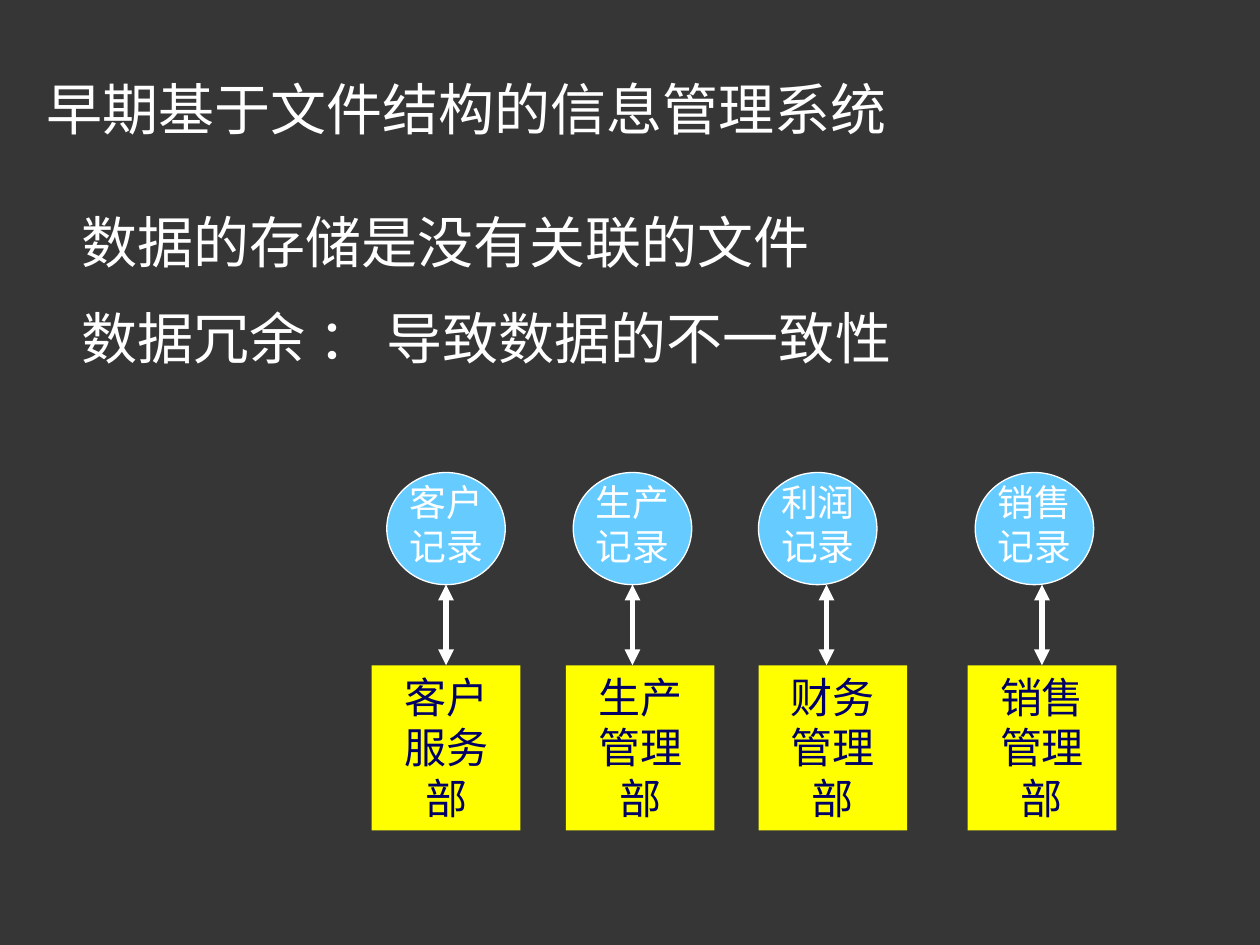
from dataclasses import dataclass

from lxml.etree import SubElement
from pptx import Presentation
from pptx.dml.color import RGBColor as RGB
from pptx.enum.shapes import MSO_CONNECTOR as CONN, MSO_SHAPE as SHAPE
from pptx.enum.text import MSO_ANCHOR as ANCHOR, PP_ALIGN as ALIGN
from pptx.oxml.ns import qn
from pptx.util import Inches, Pt


@dataclass(frozen=True)
class Theme:
    font: str = "Arial"
    background: RGB = RGB(0x36, 0x36, 0x36)
    light: RGB = RGB(0xFF, 0xFF, 0xFF)
    record: RGB = RGB(0x66, 0xCC, 0xFF)
    department: RGB = RGB(0xFF, 0xFF, 0x00)
    dark: RGB = RGB(0x00, 0x00, 0x66)
    body_size: Pt = Pt(32)
    record_size: Pt = Pt(21)
    department_size: Pt = Pt(24)
    paragraph_gap: Pt = Pt(16)


THEME = Theme()

# Record, record left, arrow centre, department, department left
COLUMNS = [
    ("客户记录", 3.07, 3.54, "客户服务部", 2.95),
    ("生产记录", 4.55, 5.02, "生产管理部", 4.49),
    ("利润记录", 6.02, 6.56, "财务管理部", 6.02),
    ("销售记录", 7.74, 8.27, "销售管理部", 7.68),
]
RECORD_TOP, RECORD_W, RECORD_H = 3.75, 0.94, 0.89
DEPT_TOP, DEPT_W, DEPT_H = 5.28, 1.18, 1.31


def write(tf, lines, size, color, align=ALIGN.LEFT):
    tf.word_wrap = True
    tf.vertical_anchor = ANCHOR.TOP
    for i, line in enumerate(lines):
        p = tf.paragraphs[0] if i == 0 else tf.add_paragraph()
        p.alignment = align
        if i:
            p.space_before = THEME.paragraph_gap
        r = p.add_run()
        r.text = line
        r.font.name = THEME.font
        r.font.size = size
        r.font.color.rgb = color


def add_text(s, box, lines, size, margin=None):
    tf = s.shapes.add_textbox(*map(Inches, box)).text_frame
    if margin is not None:
        tf.margin_left = tf.margin_right = margin
        tf.margin_top = tf.margin_bottom = margin
    write(tf, lines, size, THEME.light)


def add_record(s, box, label):
    left, top, width, height = box
    sp = s.shapes.add_shape(SHAPE.OVAL, *map(Inches, box))
    sp.shadow.inherit = False
    sp.fill.solid()
    sp.fill.fore_color.rgb = THEME.record
    sp.line.color.rgb = THEME.light
    sp.line.width = Pt(0.75)
    add_text(s, (left + 0.18, top + 0.06, 0.65, 0.71), [label],
             THEME.record_size, margin=0)


def add_department(s, box, label):
    sp = s.shapes.add_shape(SHAPE.RECTANGLE, *map(Inches, box))
    sp.shadow.inherit = False
    sp.fill.solid()
    sp.fill.fore_color.rgb = THEME.department
    sp.line.fill.background()
    write(sp.text_frame, [label], THEME.department_size, THEME.dark, ALIGN.CENTER)
    return sp


def add_double_arrow(s, x, top, bottom):
    arrow = s.shapes.add_connector(
        CONN.STRAIGHT, Inches(x), Inches(top), Inches(x), Inches(bottom))
    arrow.line.color.rgb = THEME.light
    arrow.line.width = Pt(3)
    ln = arrow.line._get_or_add_ln()
    for end in ("a:headEnd", "a:tailEnd"):
        SubElement(ln, qn(end), type="triangle")
    SubElement(arrow.element.spPr, qn("a:effectLst"))
    return arrow


def add_column(s, record, record_left, arrow_x, department, dept_left):
    add_record(s, (record_left, RECORD_TOP, RECORD_W, RECORD_H), record)
    dept = add_department(s, (dept_left, DEPT_TOP, DEPT_W, DEPT_H), department)
    arrow = add_double_arrow(s, arrow_x, RECORD_TOP + RECORD_H, DEPT_TOP)
    # Join only the arrows that meet the middle of the department's top side
    if abs(dept_left + DEPT_W / 2 - arrow_x) < 0.01:
        arrow.end_connect(dept, 0)


def main():
    prs = Presentation()
    prs.slide_width, prs.slide_height = Inches(10), Inches(7.5)
    s = prs.slides.add_slide(prs.slide_layouts[6])
    s.background.fill.solid()
    s.background.fill.fore_color.rgb = THEME.background

    # Title and statements
    add_text(s, (0.27, 0.54, 7.44, 0.64), ["早期基于文件结构的信息管理系统"],
             THEME.body_size)
    add_text(s, (0.55, 1.6, 9.14, 1.45),
             ["数据的存储是没有关联的文件", "数据冗余 ： 导致数据的不一致性"],
             THEME.body_size)

    # Each department with its own records
    for column in COLUMNS:
        add_column(s, *column)

    prs.save("out.pptx")


if __name__ == "__main__":
    main()
